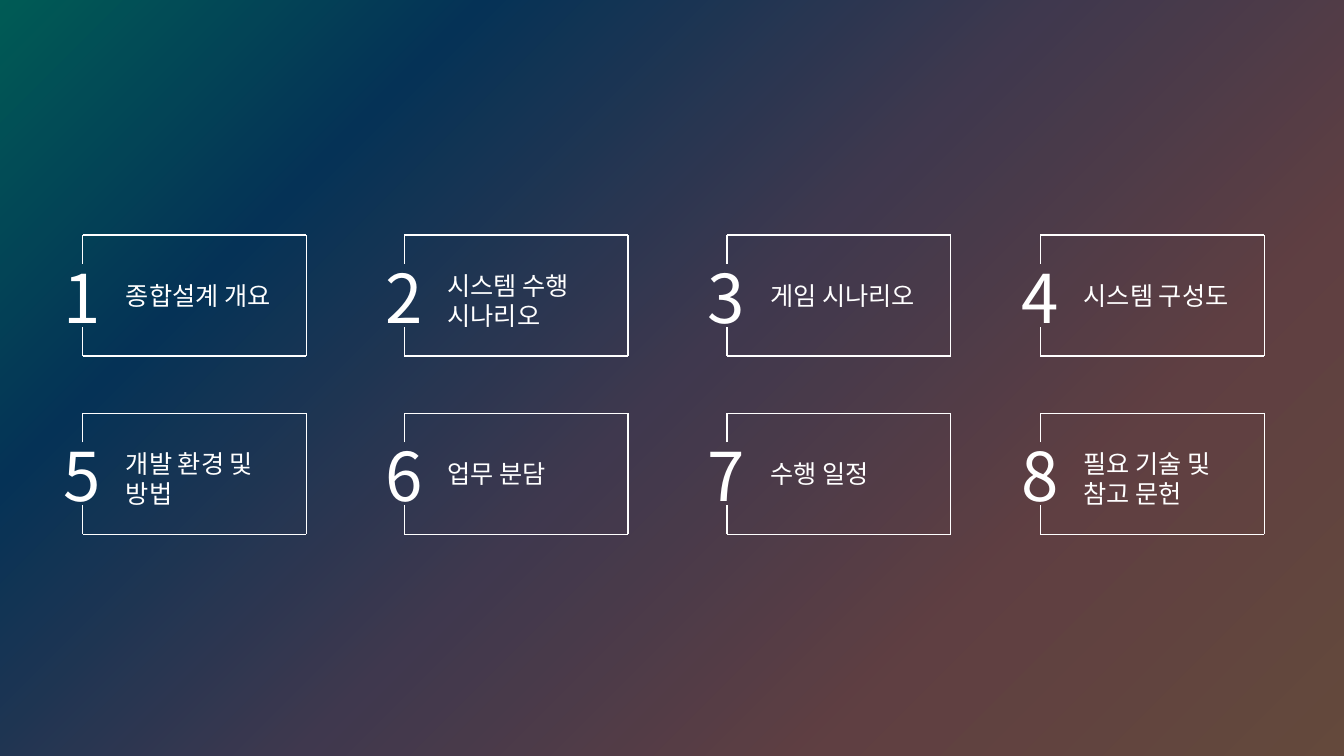
import pptx
import pptx.dml.color
import pptx.enum.shapes
import pptx.enum.text
import pptx.oxml
import pptx.oxml.ns
import pptx.util
from pptx.util import Inches

AGENDA = [
    [(["종합설계 개요"], 1.68), (["시스템 수행", "시나리오"], 1.51),
     (["게임 시나리오"], 1.68), (["시스템 구성도"], 1.68)],
    [(["개발 환경 및", "방법"], 1.58), (["업무 분담"], 1.21),
     (["수행 일정"], 1.21), (["필요 기술 및", "참고 문헌"], 1.51)],
]
COLORS = {"white": "FFFFFF", "black": "000000"}
GRADIENT = [(0, "01E5D6"), (23, "0D7FD8"), (50, "9E8DC4"), (75, "EF9EA5"), (100, "FAB896")]
GRADIENT_ANGLE = 45
OVERLAY_OPACITY = 60
FONT = "Noto Sans CJK KR"

SLIDE_WIDTH, SLIDE_HEIGHT = 13.33, 7.5
COLUMN_LEFTS = [0.82, 4.01, 7.21, 10.32]
ROW_TOPS = [2.33, 4.1]
FRAME_WIDTH, FRAME_HEIGHT = 2.22, 1.2
GAP_START, GAP_END = 0.29, 0.91


def color(name):
    return pptx.dml.color.RGBColor.from_string(COLORS[name])


def add_text(shapes, lines, left, top, width, height, size):
    box = shapes.add_textbox(Inches(left), Inches(top), Inches(width), Inches(height))
    frame = box.text_frame
    frame.word_wrap = False
    frame.auto_size = pptx.enum.text.MSO_AUTO_SIZE.SHAPE_TO_FIT_TEXT
    for index, line in enumerate(lines):
        paragraph = frame.paragraphs[0] if index == 0 else frame.add_paragraph()
        run = paragraph.add_run()
        run.text = line
        run.font.size = pptx.util.Pt(size)
        run.font.name = FONT
        run.font.color.rgb = color("white")
        east_asian = pptx.oxml.parse_xml(
            f'<a:ea {pptx.oxml.ns.nsdecls("a")} typeface="{FONT}"/>')
        run.font._element.append(east_asian)


def add_line(shapes, start, end):
    line = shapes.add_connector(
        pptx.enum.shapes.MSO_CONNECTOR.STRAIGHT,
        *[Inches(value) for value in (*start, *end)])
    line.line.color.rgb = color("white")
    line.line.width = pptx.util.Pt(1)
    line._element.spPr.append(
        pptx.oxml.parse_xml(f'<a:effectLst {pptx.oxml.ns.nsdecls("a")}/>'))


def set_background(slide):
    fill = slide.background.fill
    fill.gradient()
    stops = "".join(
        f'<a:gs pos="{position * 1000}"><a:srgbClr val="{value}"/></a:gs>'
        for position, value in GRADIENT)
    gradient = pptx.oxml.parse_xml(
        f'<a:gradFill {pptx.oxml.ns.nsdecls("a")} rotWithShape="1"><a:gsLst>{stops}</a:gsLst>'
        f'<a:lin ang="{GRADIENT_ANGLE * 60000}" scaled="0"/></a:gradFill>')
    current = slide.background._cSld.find(".//" + pptx.oxml.ns.qn("a:gradFill"))
    current.getparent().replace(current, gradient)


def add_overlay(slide):
    overlay = slide.shapes.add_shape(
        pptx.enum.shapes.MSO_SHAPE.RECTANGLE, 0, 0, Inches(SLIDE_WIDTH), Inches(7.52))
    overlay.shadow.inherit = False
    overlay.line.fill.background()
    overlay.fill.solid()
    overlay.fill.fore_color.rgb = color("black")
    fill_color = overlay._element.spPr.find(".//" + pptx.oxml.ns.qn("a:srgbClr"))
    fill_color.append(pptx.oxml.parse_xml(
        f'<a:alpha {pptx.oxml.ns.nsdecls("a")} val="{OVERLAY_OPACITY * 1000}"/>'))


def add_agenda_item(slide, number, lines, label_width, left, top):
    shapes = slide.shapes.add_group_shape().shapes
    right, bottom = left + FRAME_WIDTH, top + FRAME_HEIGHT
    label_offset, label_height = (0.4, 0.4) if len(lines) == 1 else (0.3, 0.71)
    add_text(shapes, lines, left + 0.33, top + label_offset, label_width, label_height, 18)
    add_text(shapes, [str(number)], left - 0.29, top + 0.16, 0.59, 0.91, 48)
    for start, end in [
        ((right, bottom), (right, top)),
        ((left, top), (right, top)),
        ((left, bottom), (right, bottom)),
        ((left, bottom), (left, top + GAP_END)),
        ((left, top + GAP_START), (left, top)),
    ]:
        add_line(shapes, start, end)


def main():
    presentation = pptx.Presentation()
    presentation.slide_width = Inches(SLIDE_WIDTH)
    presentation.slide_height = Inches(SLIDE_HEIGHT)
    slide = presentation.slides.add_slide(presentation.slide_layouts[6])
    set_background(slide)
    add_overlay(slide)
    for row, (items, top) in enumerate(zip(AGENDA, ROW_TOPS)):
        for column, ((lines, label_width), left) in enumerate(zip(items, COLUMN_LEFTS)):
            number = row * len(COLUMN_LEFTS) + column + 1
            add_agenda_item(slide, number, lines, label_width, left, top)
    presentation.save("out.pptx")


if __name__ == "__main__":
    main()
